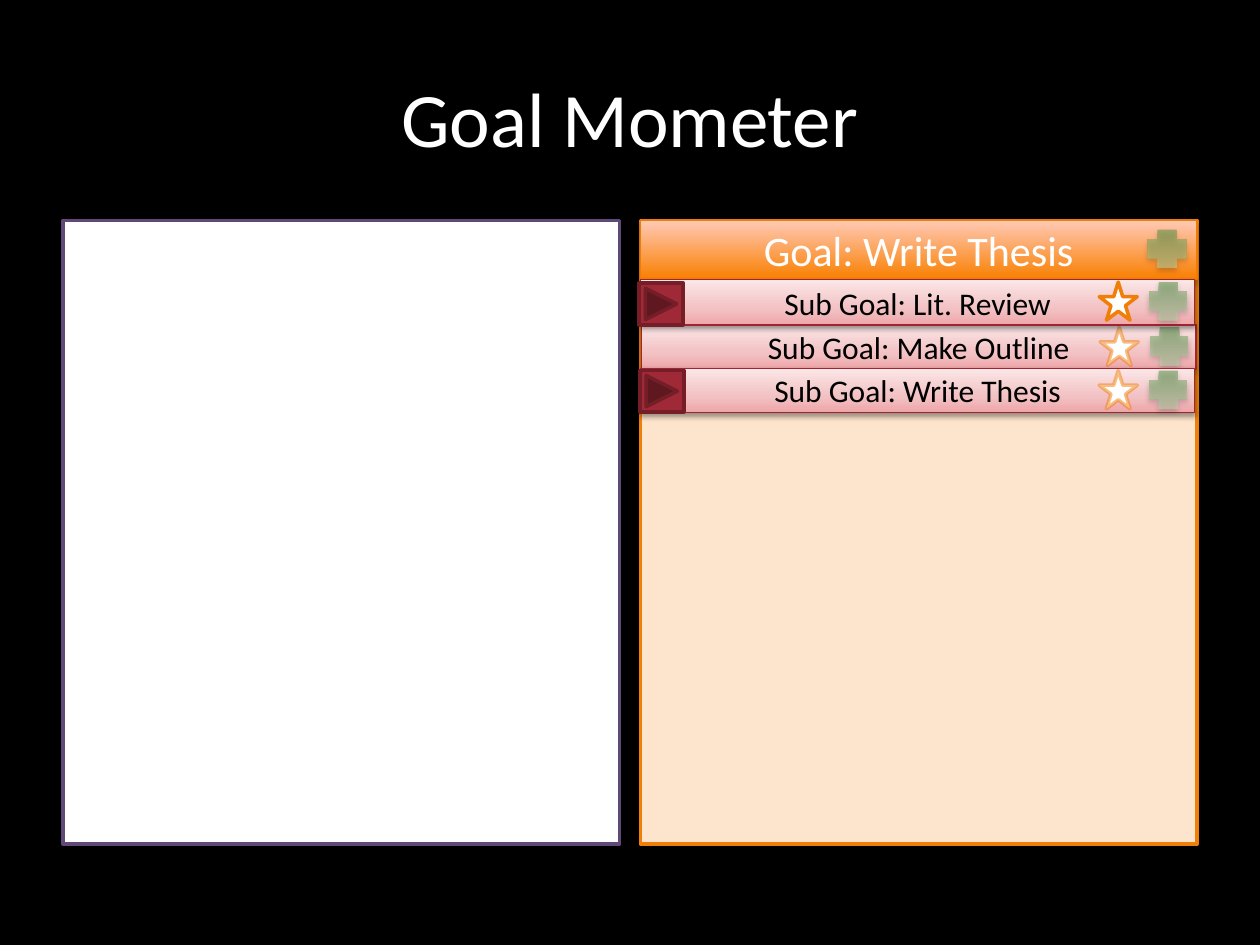
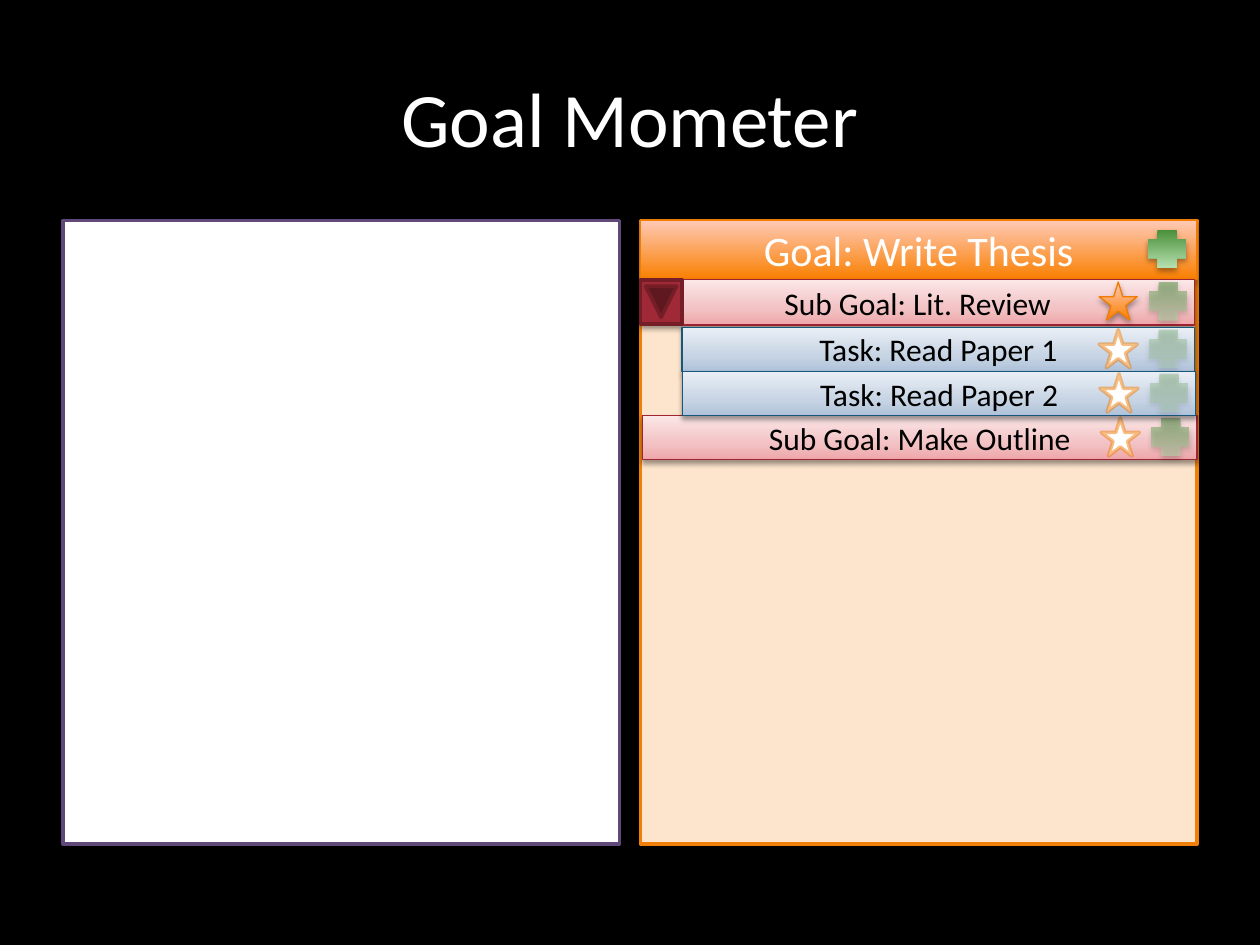
from lxml.etree import SubElement
from pptx import Presentation
from pptx.dml.color import RGBColor
from pptx.enum.shapes import MSO_SHAPE
from pptx.enum.text import MSO_ANCHOR, PP_ALIGN
from pptx.oxml.ns import qn
from pptx.util import Pt

# Palette; gradients run from bottom to top as (position, colour)
BLACK, WHITE = "000000", "FFFFFF"
ORANGE, PURPLE, PEACH = "F07F09", "604878", "FDE5CD"
ORANGE_EDGE, BUTTON_RED, BUTTON_EDGE = "F07C03", "9F2936", "761E28"
ORANGE_BLEND = [(0, "F97F00"), (100, "FFC9B5")]
GREEN_BLEND = [(0, "488F38"), (100, "B5DFAF")]
SUB_GOAL = {"blend": [(0, "EEA6A9"), (35, "F2C1C3"), (100, "FBE7E7")],
            "edge": "9E2533", "width": 316.8, "plus_opacity": 50}
TASK = {"blend": [(0, "AFC2DA"), (35, "C7D4E4"), (100, "EAEFF5")],
        "edge": "18577C", "width": 293, "plus_opacity": 30}

# Layout in points
PANEL_TOP, PANEL_WIDTH, PANEL_HEIGHT = 126, 318, 356.4
DIARY_LEFT, GOAL_LEFT, TASK_LEFT = 36, 366, 389.8
GOAL_HEIGHT, ROW_HEIGHT, ICON = 33.8, 25.2, 21.8
FIRST_ROW = PANEL_TOP + GOAL_HEIGHT


def colour(value):
    return RGBColor.from_string(value)


def apply(target, formats):
    for name, value in formats.items():
        setattr(target, name, value)


def set_opacity(colour_element, percent):
    SubElement(colour_element, qn("a:alpha"), val=str(percent * 1000))


class GoalDeck:
    font = "Calibri"

    def __init__(self):
        self.deck = Presentation()
        apply(self.deck, {"slide_width": Pt(720), "slide_height": Pt(540)})
        self.slide = None

    def label(self, frame, text, size, text_colour):
        apply(frame, {"text": text, "word_wrap": True,
                      "vertical_anchor": MSO_ANCHOR.MIDDLE})
        paragraph = frame.paragraphs[0]
        paragraph.alignment = PP_ALIGN.CENTER
        apply(paragraph.font, {"name": self.font, "size": Pt(size)})
        paragraph.font.color.rgb = colour(text_colour)

    def shape(self, kind, left, top, width, height, fill, line=None,
              line_width=2, line_opacity=100):
        shape = self.slide.shapes.add_shape(
            kind, Pt(left), Pt(top), Pt(width), Pt(height))
        shape.shadow.inherit = False
        if isinstance(fill, str):
            shape.fill.solid()
            shape.fill.fore_color.rgb = colour(fill)
        else:
            self.blend(shape, fill)
        if line:
            shape.line.color.rgb = colour(line)
            shape.line.width = Pt(line_width)
            if line_opacity < 100:
                edge = shape.element.spPr.find(qn("a:ln"))
                set_opacity(next(edge.iter(qn("a:srgbClr"))), line_opacity)
        else:
            shape.line.fill.background()
        return shape

    def blend(self, shape, stops):
        shape.fill.gradient()
        shape.fill.gradient_angle = 90
        stop_list = next(shape.element.spPr.iter(qn("a:gsLst")))
        for old_stop in list(stop_list):
            stop_list.remove(old_stop)
        for position, value in stops:
            stop = SubElement(stop_list, qn("a:gs"), pos=str(position * 1000))
            SubElement(stop, qn("a:srgbClr"), val=value)

    def cast_shadow(self, shape, opacity=35, distance=1.8):
        effects = shape.element.spPr.find(qn("a:effectLst"))
        shadow = SubElement(effects, qn("a:outerShdw"), blurRad=str(Pt(3.1)),
                            dist=str(Pt(distance)), dir="5400000",
                            rotWithShape="0")
        set_opacity(SubElement(shadow, qn("a:srgbClr"), val=BLACK), opacity)

    def bar(self, left, top, width, height, blend, edge, text, size,
            text_colour, **shadow):
        bar = self.shape(MSO_SHAPE.RECTANGLE, left, top, width, height,
                         blend, edge, 0.75)
        self.cast_shadow(bar, **shadow)
        self.label(bar.text_frame, text, size, text_colour)

    def plus(self, left, top, opacity):
        plus = self.shape(MSO_SHAPE.CROSS, left, top, ICON, ICON, GREEN_BLEND)
        plus.element.spPr.find(qn("a:xfrm")).set("flipV", "1")
        if opacity < 100:
            stops = plus.element.spPr.find(qn("a:gradFill"))
            for stop_colour in stops.iter(qn("a:srgbClr")):
                set_opacity(stop_colour, opacity)
        self.cast_shadow(plus)

    def star(self, left, top, state):
        place = (MSO_SHAPE.STAR_5_POINT, left, top, ICON, ICON)
        if state == "earned":
            self.cast_shadow(self.shape(*place, ORANGE_BLEND, ORANGE_EDGE, 0.75))
        else:
            self.shape(*place, WHITE, ORANGE,
                       line_opacity=100 if state == "active" else 50)

    def row(self, level, text, left, top, height=ROW_HEIGHT, star="faded"):
        self.bar(left, top, level["width"], height, level["blend"],
                 level["edge"], text, 18, BLACK, opacity=38, distance=1.6)
        right = left + level["width"]
        self.plus(right - 26, top + 1.4, level["plus_opacity"])
        self.star(right - 54.7, top + 1.4, star)

    def toggle(self, left, top, rotation=0):
        button = self.shape(MSO_SHAPE.ACTION_BUTTON_FORWARD_OR_NEXT, left, top,
                            25.2, 23.8, BUTTON_RED, BUTTON_EDGE)
        button.rotation = rotation

    def start_slide(self, plus_opacity):
        self.slide = self.deck.slides.add_slide(self.deck.slide_layouts[5])
        background = self.slide.background.fill
        background.solid()
        background.fore_color.rgb = colour(BLACK)
        # Title
        title = self.slide.shapes.title
        apply(title, {"left": Pt(36), "top": Pt(21.6),
                      "width": Pt(648), "height": Pt(90)})
        self.label(title.text_frame, "Goal Mometer", 44, WHITE)
        # Two panels and the goal header
        for left, fill, edge in ((DIARY_LEFT, WHITE, PURPLE),
                                 (GOAL_LEFT, PEACH, ORANGE)):
            self.shape(MSO_SHAPE.RECTANGLE, left, PANEL_TOP, PANEL_WIDTH,
                       PANEL_HEIGHT, fill, edge)
        self.bar(GOAL_LEFT, PANEL_TOP, PANEL_WIDTH, GOAL_HEIGHT, ORANGE_BLEND,
                 ORANGE_EDGE, "Goal: Write Thesis", 24, WHITE)
        self.plus(656, 131.2, plus_opacity)

    def literature_row(self, star):
        self.row(SUB_GOAL, "Sub Goal: Lit. Review", GOAL_LEFT, FIRST_ROW,
                 26, star)


def main():
    goals = GoalDeck()

    # Collapsed sub goals
    goals.start_slide(plus_opacity=50)
    goals.row(SUB_GOAL, "Sub Goal: Make Outline", 366.6, 185.6)
    goals.literature_row("active")
    goals.toggle(365.2, 161.8)
    goals.row(SUB_GOAL, "Sub Goal: Write Thesis", GOAL_LEFT, 210.4)
    goals.toggle(365.6, 211.6)

    # Literature review opened to its tasks
    goals.start_slide(plus_opacity=100)
    goals.literature_row("earned")
    goals.toggle(365.2, 160.6, rotation=90)
    tasks_top = 187
    goals.row(SUB_GOAL, "Sub Goal: Make Outline", 367.2,
              tasks_top + 2 * ROW_HEIGHT)
    for index, task in enumerate(("Task: Read Paper 1", "Task: Read Paper 2")):
        goals.row(TASK, task, TASK_LEFT + 0.4 * index,
                  tasks_top + index * ROW_HEIGHT)

    goals.deck.save("out.pptx")


if __name__ == "__main__":
    main()
